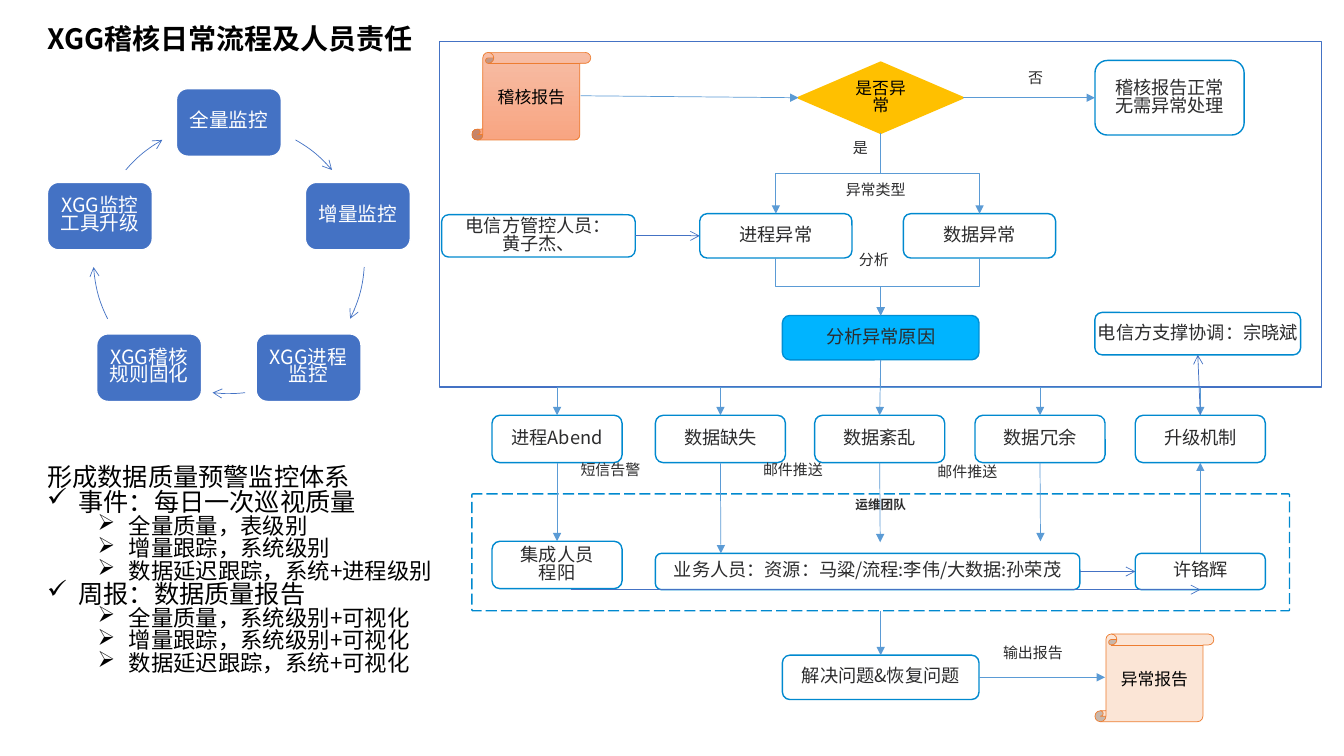
"""Build a slide on the daily audit workflow and staff responsibilities."""
from dataclasses import dataclass
from math import cos, radians, sin
from typing import Any, Optional, Union

from pptx import Presentation
from pptx.dml.color import RGBColor
from pptx.enum.dml import MSO_LINE
from pptx.enum.shapes import MSO_CONNECTOR, MSO_SHAPE
from pptx.enum.text import MSO_ANCHOR, PP_ALIGN
from pptx.oxml.ns import qn
from pptx.util import Inches, Pt
from lxml import etree

RECT, ROUND = MSO_SHAPE.RECTANGLE, MSO_SHAPE.ROUNDED_RECTANGLE
SCROLL, DIAMOND, ARC = MSO_SHAPE.VERTICAL_SCROLL, MSO_SHAPE.DIAMOND, MSO_SHAPE.ARC
STRAIGHT, ELBOW = MSO_CONNECTOR.STRAIGHT, MSO_CONNECTOR.ELBOW
LEFT, CENTER = PP_ALIGN.LEFT, PP_ALIGN.CENTER
TOP_ANCHOR, MIDDLE = MSO_ANCHOR.TOP, MSO_ANCHOR.MIDDLE
LONG_DASH = MSO_LINE.LONG_DASH
TOP_SIDE, LEFT_SIDE, BOTTOM_SIDE, RIGHT_SIDE = range(4)
FONT = "Noto Sans CJK SC"
SPACING = 0.83
COLORS = {
    "white": "FFFFFF", "black": "000000", "ink": "2C2C2D", "blue": "4472C4",
    "outline": "0089CF", "sky": "00B4FF", "sky_edge": "008FD4", "flow": "5B9BD5",
    "amber": "FFC000", "orange": "ED7D31", "peach": "FBE5D6",
    "scroll_top": "F7BDA5", "scroll_bottom": "F8A582",
}
End = tuple[Union[str, float], Union[int, float]]


@dataclass(frozen=True)
class Box:
    name: str
    text: str
    left: float
    top: float
    width: float
    height: float
    kind: Any = ROUND
    fill: Optional[str] = None
    edge: str = "outline"
    weight: float = 1
    size: float = 13
    ink: str = "ink"
    bold: bool = False
    wrap: bool = False
    anchor: Any = MIDDLE
    inset: tuple[float, float] = (0.12, 0.06)
    spacing: float = SPACING


@dataclass(frozen=True)
class Label:
    text: str
    left: float
    top: float
    width: float
    height: float = 0.34
    size: float = 10.7
    ink: str = "ink"
    bold: bool = False


@dataclass(frozen=True)
class Link:
    start: End
    end: End
    kind: Any = STRAIGHT
    color: str = "flow"
    head: str = "triangle"


SCROLL_LOOK = {"kind": SCROLL, "edge": "orange", "weight": 0.5, "size": 12,
               "ink": "black", "wrap": True, "inset": (0.1, 0.05)}
ISSUES = [("进程Abend", 4.88), ("数据缺失", 6.5), ("数据紊乱", 8.08),
          ("数据冗余", 9.67), ("升级机制", 11.26)]
BOXES = [
    Box("frame", "", 4.36, 0.41, 8.75, 3.43, RECT, "white", "blue"),
    Box("audit", "稽核报告", 4.68, 0.52, 1.18, 0.87, fill="gradient", **SCROLL_LOOK),
    Box("normal", "稽核报告正常\n无需异常处理", 10.86, 0.6, 1.48, 0.74),
    Box("check", "是否异常", 7.92, 0.62, 1.63, 0.7, DIAMOND, "amber", "amber", 1.5,
        12, "black", wrap=True, inset=(0.1, 0.05)),
    Box("solve", "解决问题&恢复问题", 7.76, 6.5, 1.95, 0.44),
    Box("process", "进程异常", 6.94, 2.12, 1.51, 0.44),
    Box("data", "数据异常", 8.96, 2.12, 1.51, 0.44),
    Box("cause", "分析异常原因", 7.76, 3.13, 1.95, 0.44, fill="sky", edge="sky_edge"),
    *(Box(text, text, left, 4.12, 1.29, 0.47) for text, left in ISSUES),
    Box("business", "业务人员：资源：马粱/流程:李伟/大数据:孙荣茂", 6.5, 5.49, 4.21, 0.36),
    Box("integrator", "集成人员\n程阳", 4.88, 5.37, 1.29, 0.47),
    Box("team", "运维团队", 4.68, 4.9, 8.11, 1.16, size=9, bold=True,
        anchor=TOP_ANCHOR, inset=(0.09, 0.05)),
    Box("escalation", "许铬辉", 11.26, 5.49, 1.29, 0.36),
    Box("report", "异常报告", 10.86, 6.29, 1.18, 0.87, fill="peach", **SCROLL_LOOK),
    Box("control", "电信方管控人员：\n黄子杰、", 4.38, 2.13, 1.92, 0.42),
    Box("support", "电信方支撑协调：宗晓斌", 10.86, 3.1, 2.04, 0.42),
]
LABELS = [
    Label("否", 10.1, 0.66, 0.44), Label("是", 8.36, 1.36, 0.44),
    Label("异常类型", 8.29, 1.77, 0.91), Label("分析", 8.42, 2.47, 0.57),
    Label("短信告警", 5.66, 4.55, 0.94), Label("邮件推送", 7.47, 4.55, 0.94),
    Label("邮件推送", 9.2, 4.57, 0.94), Label("输出报告", 9.85, 6.37, 0.86),
    Label("XGG稽核日常流程及人员责任", 0.37, 0.22, 5.65, 0.44, 20, "black", True),
]
LINKS = [
    Link((5.76, 0.95), ("check", LEFT_SIDE)),
    Link(("check", RIGHT_SIDE), ("normal", LEFT_SIDE)),
    *(Link(("check", BOTTOM_SIDE), (kind, TOP_SIDE), ELBOW) for kind in ("process", "data")),
    *(Link((kind, BOTTOM_SIDE), ("cause", TOP_SIDE), ELBOW) for kind in ("process", "data")),
    *(Link(("cause", BOTTOM_SIDE), (issue, TOP_SIDE),
           STRAIGHT if issue == "数据紊乱" else ELBOW) for issue, _ in ISSUES),
    Link(("进程Abend", BOTTOM_SIDE), ("integrator", TOP_SIDE)),
    Link(("数据缺失", BOTTOM_SIDE), (7.15, 5.49)),
    Link(("数据紊乱", BOTTOM_SIDE), (8.73, 5.38)),
    Link(("数据冗余", BOTTOM_SIDE), (10.32, 5.37)),
    Link(("escalation", TOP_SIDE), ("升级机制", BOTTOM_SIDE)),
    Link(("team", BOTTOM_SIDE), ("solve", TOP_SIDE)),
    Link(("solve", RIGHT_SIDE), (10.96, 6.72)),
    Link(("control", RIGHT_SIDE), ("process", LEFT_SIDE), STRAIGHT, "blue", "arrow"),
    Link(("升级机制", TOP_SIDE), ("support", BOTTOM_SIDE), STRAIGHT, "blue", "arrow"),
    Link((5.66, 5.85), ("escalation", BOTTOM_SIDE), STRAIGHT, "blue", "arrow"),
    Link(("business", RIGHT_SIDE), ("escalation", LEFT_SIDE), STRAIGHT, "blue", "arrow"),
]
CYCLE = ["全量监控", "增量监控", "XGG进程监控", "XGG稽核规则固化", "XGG监控工具升级"]
CYCLE_ARCS = [(299.4, 319.5), (3.8, 26.6), (83.1, 96.9), (153.4, 176.2), (220.5, 240.6)]
CYCLE_X, CYCLE_Y, CYCLE_RADIUS = 2.27, 2.56, 1.345
SUMMARY = [
    ("", "形成数据质量预警监控体系"), ("✓", "事件：每日一次巡视质量"),
    ("➢", "全量质量，表级别"), ("➢", "增量跟踪，系统级别"),
    ("➢", "数据延迟跟踪，系统+进程级别"), ("✓", "周报：数据质量报告"),
    ("➢", "全量质量，系统级别+可视化"), ("➢", "增量跟踪，系统级别+可视化"),
    ("➢", "数据延迟跟踪，系统+可视化"),
]


def color(name: str) -> RGBColor:
    return RGBColor.from_string(COLORS[name])


def apply(target: Any, values: dict[str, Any]) -> None:
    for name, value in values.items():
        setattr(target, name, value)


def write(para: Any, text: str, size: float, ink: str, bold: bool = False,
          align: Any = LEFT, spacing: float = SPACING) -> None:
    apply(para, {"alignment": align, "line_spacing": spacing})
    span = para.add_run()
    span.text = text
    apply(span.font, {"name": FONT, "size": Pt(size), "bold": bold})
    span.font.color.rgb = color(ink)
    etree.SubElement(span.font._element, qn("a:ea"), typeface=FONT)


def draw_line(shape: Any, ink: str, weight: float, head: str = "") -> None:
    shape.line.color.rgb = color(ink)
    shape.line.width = Pt(weight)
    if head:
        outline = shape._element.spPr.find(qn("a:ln"))
        etree.SubElement(outline, qn("a:tailEnd"), type=head)


def draw_box(page: Any, box: Box) -> Any:
    area = map(Inches, (box.left, box.top, box.width, box.height))
    shape = page.shapes.add_shape(box.kind, *area)
    shape.shadow.inherit = False
    if box.fill == "gradient":
        shape.fill.gradient()
        shape.fill.gradient_angle = 270
        for stop, name in zip(shape.fill.gradient_stops, ("scroll_top", "scroll_bottom")):
            stop.color.rgb = color(name)
    elif box.fill:
        shape.fill.solid()
        shape.fill.fore_color.rgb = color(box.fill)
    else:
        shape.fill.background()
    draw_line(shape, box.edge, box.weight)
    across, down = map(Inches, box.inset)
    frame = shape.text_frame
    apply(frame, {"word_wrap": box.wrap, "vertical_anchor": box.anchor,
                  "margin_left": across, "margin_right": across,
                  "margin_top": down, "margin_bottom": down})
    for index, text in enumerate(box.text.split("\n") if box.text else []):
        para = frame.add_paragraph() if index else frame.paragraphs[0]
        write(para, text, box.size, box.ink, box.bold, CENTER, box.spacing)
    return shape


def draw_label(page: Any, label: Label) -> None:
    area = map(Inches, (label.left, label.top, label.width, label.height))
    frame = page.shapes.add_textbox(*area).text_frame
    frame.word_wrap = True
    write(frame.paragraphs[0], label.text, label.size, label.ink, label.bold)


def turn_elbow(connector: Any) -> None:
    across = connector.end_x - connector.begin_x
    down = connector.end_y - connector.begin_y
    middle_x = (connector.begin_x + connector.end_x) // 2
    middle_y = (connector.begin_y + connector.end_y) // 2
    apply(connector, {"left": middle_x - down // 2, "top": middle_y - abs(across) // 2,
                      "width": down, "height": abs(across)})
    transform = connector._element.spPr.find(qn("a:xfrm"))
    transform.set("rot", "5400000" if across < 0 else "16200000")
    transform.set("flipH", "0" if across < 0 else "1")


def draw_link(page: Any, link: Link, shapes: dict[str, Any]) -> None:
    points = [(0, 0) if isinstance(end[0], str) else end for end in (link.start, link.end)]
    places = [Inches(value) for point in points for value in point]
    connector = page.shapes.add_connector(link.kind, *places)
    joins = (connector.begin_connect, connector.end_connect)
    for join, (target, side) in zip(joins, (link.start, link.end)):
        if isinstance(target, str):
            join(shapes[target], side)
    if link.kind == ELBOW:
        turn_elbow(connector)
    draw_line(connector, link.color, 0.5, link.head)
    etree.SubElement(connector._element.spPr, qn("a:effectLst"))


def draw_cycle(page: Any) -> None:
    corner = (CYCLE_X - CYCLE_RADIUS, CYCLE_Y - CYCLE_RADIUS)
    area = [Inches(value) for value in (*corner, 2 * CYCLE_RADIUS, 2 * CYCLE_RADIUS)]
    for index, (text, angles) in enumerate(zip(CYCLE, CYCLE_ARCS)):
        turn = radians(72 * index - 90)
        left = CYCLE_X + CYCLE_RADIUS * cos(turn) - 0.52
        top = CYCLE_Y + CYCLE_RADIUS * sin(turn) - 0.335
        draw_box(page, Box(text, text, left, top, 1.04, 0.67, fill="blue", edge="white",
                           size=14, ink="white", wrap=True, inset=(0.09, 0.09), spacing=0.75))
        arc = page.shapes.add_shape(ARC, *area)
        arc.shadow.inherit = False
        arc.fill.background()
        for position, angle in enumerate(angles):
            arc.adjustments[position] = angle * 0.6
        draw_line(arc, "blue", 0.5, "arrow")


def draw_summary(page: Any) -> None:
    frame = page.shapes.add_textbox(*map(Inches, (0.37, 4.58, 4.45, 2.69))).text_frame
    frame.word_wrap = True
    for index, (bullet, text) in enumerate(SUMMARY):
        para = frame.add_paragraph() if index else frame.paragraphs[0]
        write(para, text, 16 if bullet == "➢" else 18, "black")
        if bullet:
            para.level = 1 if bullet == "➢" else 0
            layout = para._p.get_or_add_pPr()
            layout.set("marL", str(Inches(0.81 if para.level else 0.31)))
            layout.set("indent", str(Inches(-0.31)))
            etree.SubElement(layout, qn("a:buChar"), char=bullet)


def main() -> None:
    deck = Presentation()
    apply(deck, {"slide_width": Inches(13.33), "slide_height": Inches(7.5)})
    page = deck.slides.add_slide(deck.slide_layouts[6])
    shapes = {box.name: draw_box(page, box) for box in BOXES}
    shapes["team"].adjustments[0] = 0.01
    shapes["team"].line.dash_style = LONG_DASH
    for link in LINKS:
        draw_link(page, link, shapes)
    for label in LABELS:
        draw_label(page, label)
    draw_cycle(page)
    draw_summary(page)
    deck.save("out.pptx")


if __name__ == "__main__":
    main()
